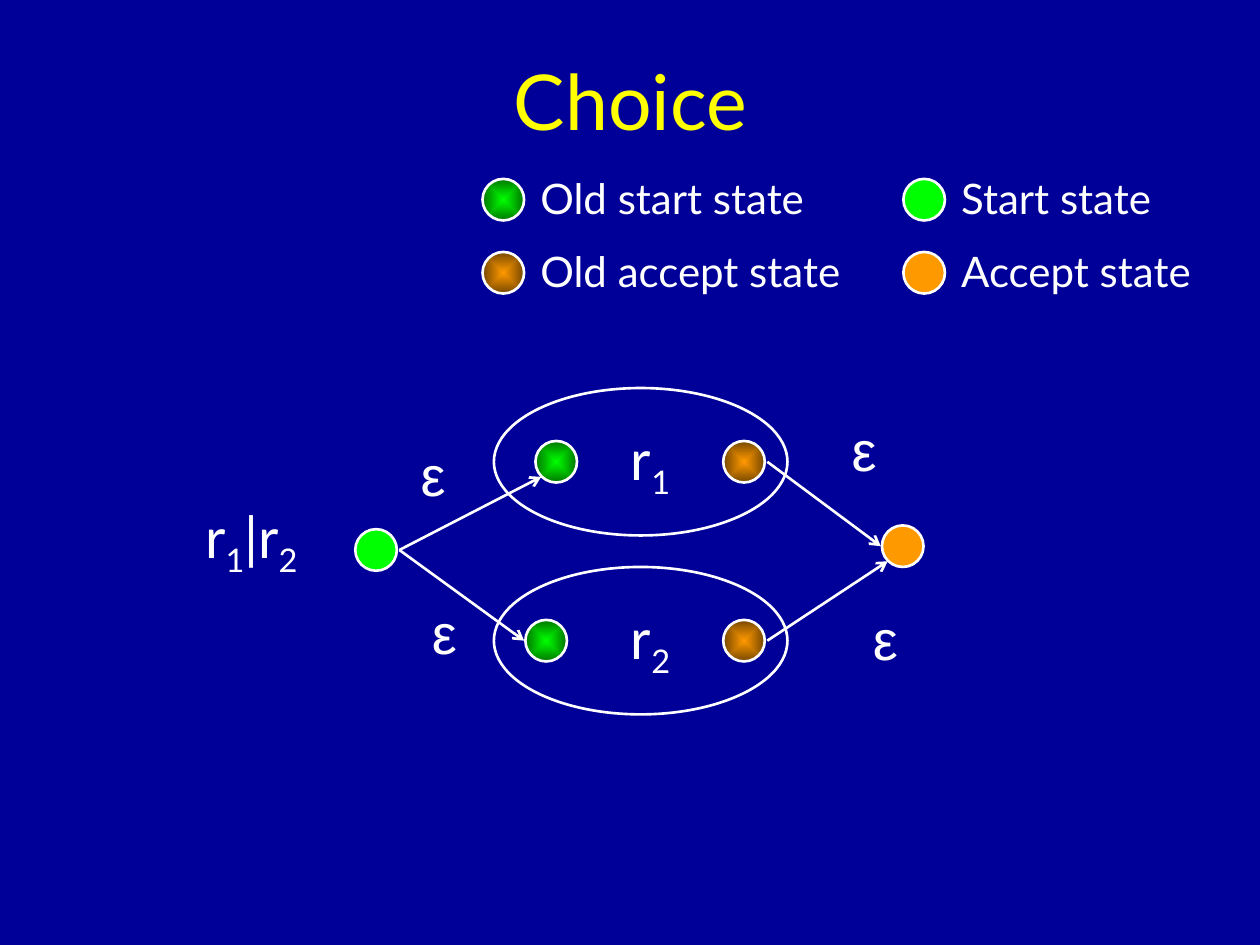
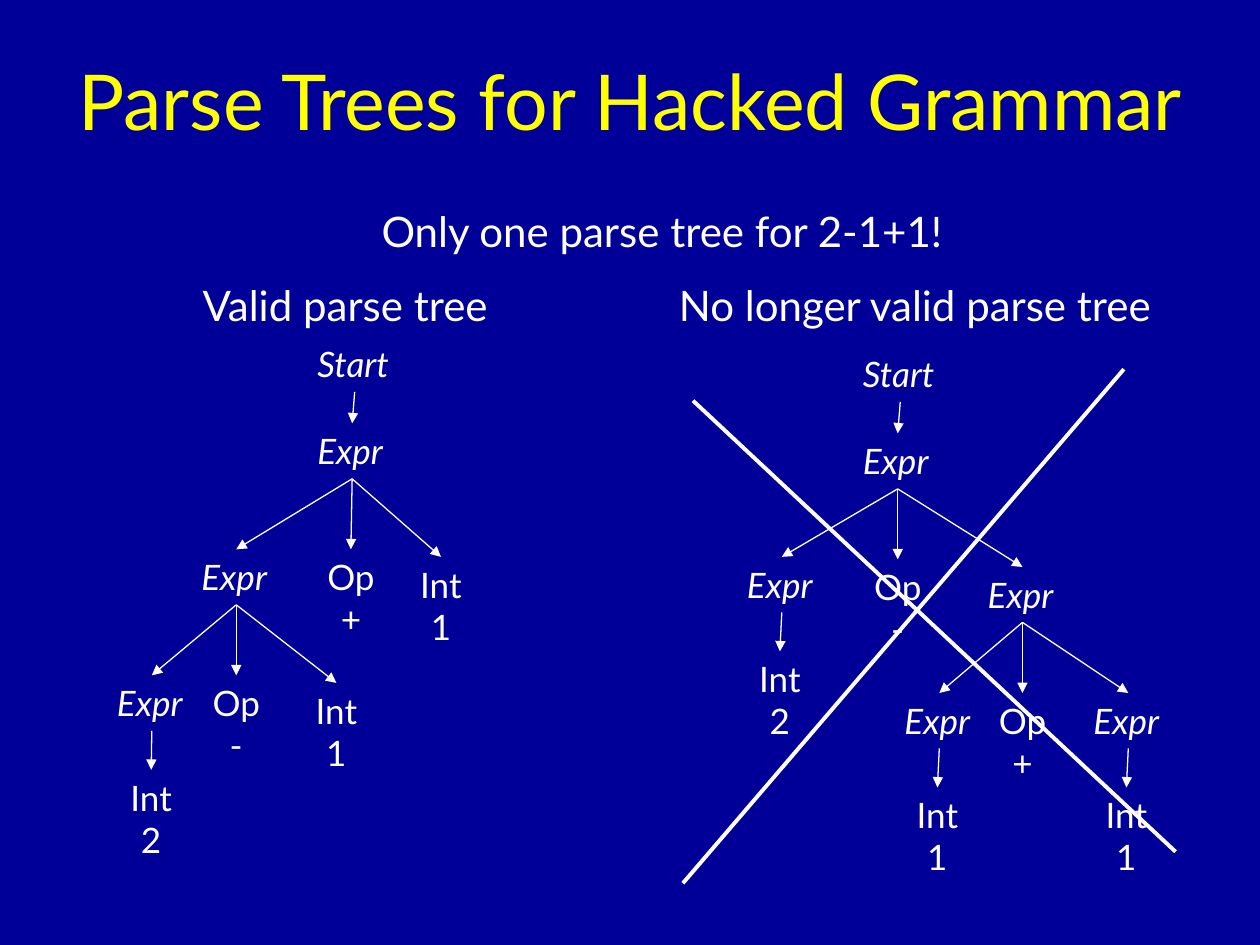
from lxml.etree import SubElement as Sub
from pptx import Presentation
from pptx.dml.color import RGBColor
from pptx.enum.shapes import MSO_CONNECTOR as Link, MSO_SHAPE as Shape
from pptx.enum.text import MSO_ANCHOR as Anchor, MSO_AUTO_SIZE as Auto, PP_ALIGN as Align
from pptx.oxml.ns import qn
from pptx.util import Inches, Pt

NAVY = RGBColor(0x00, 0x00, 0x99)
YELLOW = RGBColor(0xFF, 0xFF, 0x00)
WHITE = RGBColor(0xFF, 0xFF, 0xFF)
GREEN = RGBColor(0x00, 0xFF, 0x00)
MOSS = RGBColor(0x00, 0x76, 0x00)
ORANGE = RGBColor(0xFF, 0x99, 0x00)
BROWN = RGBColor(0x76, 0x47, 0x00)
FONT, GREEK = "Lato", "Arial"

# Choice: state kinds as (centre colour, edge colour or None)
KINDS = {
    "start": (GREEN, None), "accept": (ORANGE, None),
    "old start": (GREEN, MOSS), "old accept": (ORANGE, BROWN),
}
DOT = 0.33
STATES = {  # name: (kind, left, top)
    "in": ("start", 2.82, 4.2), "out": ("accept", 7, 4.17),
    "in1": ("old start", 4.25, 3.5), "out1": ("old accept", 5.74, 3.5),
    "in2": ("old start", 4.17, 4.92), "out2": ("old accept", 5.74, 4.92),
}
MOVES = [  # from the right of one state to a spot on the next
    ("in", "in1", "corner"), ("in", "in2", "side"),
    ("out1", "out", "side"), ("out2", "out", "corner"),
]
RINGS = [("r_1", 3.08), ("r_2", 4.5)]
EPS = [(6.83, 4.75), (6.66, 3.25), (3.24, 3.45), (3.33, 4.7)]
KEY = [  # kind, label, left, top, width of label
    ("old start", "Old start state", 3.83, 1.42, 2.42),
    ("old accept", "Old accept state", 3.83, 2, 2.72),
    ("start", "Start state", 7.17, 1.42, 1.81),
    ("accept", "Accept state", 7.17, 2, 2.11),
]

# Parse trees: (text, left, top, index of parent)
SIZES = {"Start": (0.79, 0.44), "Expr": (0.75, 0.44),
         "Op": (0.59, 0.77), "Int": (0.56, 0.77)}
VALID = [
    ("Start", 2.42, 2.67, None), ("Expr", 2.42, 3.36, 0),
    ("Expr", 1.5, 4.36, 1), ("Op\n+", 2.49, 4.36, 1), ("Int\n1", 3.22, 4.42, 1),
    ("Expr", 0.83, 5.36, 2), ("Op\n-", 1.58, 5.36, 2), ("Int\n1", 2.39, 5.42, 2),
    ("Int\n2", 0.92, 6.11, 5),
]
STALE = [
    ("Start", 6.75, 2.75, None), ("Expr", 6.75, 3.44, 0),
    ("Expr", 5.83, 4.42, 1), ("Op\n-", 6.83, 4.44, 1), ("Expr", 7.74, 4.5, 1),
    ("Int\n2", 5.91, 5.17, 2),
    ("Expr", 7.08, 5.5, 4), ("Op\n+", 7.82, 5.5, 4), ("Expr", 8.58, 5.5, 4),
    ("Int\n1", 7.16, 6.25, 6), ("Int\n1", 8.66, 6.25, 8),
]
HEADS = [  # text, left, top, width
    ("Only one parse tree for 2-1+1!", 2.93, 1.58, 4.87),
    ("Valid parse tree", 1.51, 2.17, 2.65),
    ("No longer valid parse tree", 5.29, 2.17, 4.27),
]
CROSS = [((8.92, 2.93), (5.42, 7.01)), ((5.5, 3.18), (9.33, 6.76))]


def style(font, size, color=WHITE, name=FONT, slant=False):
    font.size, font.name, font.italic = Pt(size), name, slant
    font.color.rgb = color


def add_page(deck, title):
    page = deck.slides.add_slide(deck.slide_layouts[5])
    head = page.shapes.title
    head.left, head.top = Inches(0.42), Inches(0.17)
    head.width, head.height = Inches(9.17), Inches(1.25)
    frame = head.text_frame
    frame.text = title
    frame.auto_size, frame.vertical_anchor = Auto.NONE, Anchor.MIDDLE
    frame.paragraphs[0].alignment = Align.CENTER
    style(frame.paragraphs[0].runs[0].font, 44, YELLOW)
    return page


def add_text(page, text, x, y, w, h, size, align=Align.LEFT, **look):
    box = page.shapes.add_textbox(*map(Inches, (x, y, w, h)))
    frame = box.text_frame
    frame.text = text
    frame.word_wrap, frame.auto_size = False, Auto.SHAPE_TO_FIT_TEXT
    for para in frame.paragraphs:
        para.alignment = align
        style(para.runs[0].font, size, **look)
    return box


def add_math(page, text, x, y, w):
    """Write text in which each "_" lowers the next character."""
    first, *rest = text.split("_")
    box = add_text(page, first, x, y, w, 0.71, 32)
    for part in rest:
        for piece, low in ((part[0], True), (part[1:], False)):
            if piece:
                run = box.text_frame.paragraphs[0].add_run()
                run.text = piece
                style(run.font, 32)
                if low:
                    run.font._element.set("baseline", "-25000")


def add_oval(page, x, y, w, h):
    oval = page.shapes.add_shape(Shape.OVAL, *map(Inches, (x, y, w, h)))
    oval.shadow.inherit = False
    oval.fill.background()
    oval.line.color.rgb, oval.line.width = WHITE, Pt(1.5)
    return oval


def add_state(page, kind, x, y):
    dot = add_oval(page, x, y, DOT, DOT)
    core, edge = KINDS[kind]
    if edge is None:
        dot.fill.solid()
        dot.fill.fore_color.rgb = core
        return
    dot.fill.gradient()
    for stop, color in zip(dot.fill.gradient_stops, (core, edge)):
        stop.color.rgb = color
    # Let the gradient spread from the middle
    grad = dot._element.spPr.find(qn("a:gradFill"))
    grad.remove(grad.find(qn("a:lin")))
    shade = Sub(grad, qn("a:path"), {"path": "rect"})
    Sub(shade, qn("a:fillToRect"), dict.fromkeys("ltrb", "50000"))


def add_line(page, start, end, width, tip=None):
    line = page.shapes.add_connector(Link.STRAIGHT, *map(Inches, (*start, *end)))
    line.line.color.rgb, line.line.width = WHITE, Pt(width)
    if tip:
        Sub(line.line._get_or_add_ln(), qn("a:tailEnd"), {"type": tip})
    Sub(line._element.spPr, qn("a:effectLst"))
    return line


def add_tree(page, nodes):
    boxes = []
    for text, x, y, _ in nodes:
        word = text.split("\n")[0]
        rule = word in ("Start", "Expr")
        boxes.append(add_text(page, text, x, y, *SIZES[word], 20,
                              Align.LEFT if rule else Align.CENTER, slant=rule))
    for box, (*_, up) in zip(boxes, nodes):
        if up is not None:
            line = add_line(page, (0, 0), (1, 1), 0.75, "triangle")
            line.begin_connect(boxes[up], 2)
            line.end_connect(box, 0)


def draw_choice(deck):
    page = add_page(deck, "Choice")
    # Automaton
    for state in STATES.values():
        add_state(page, *state)
    for name, top in RINGS:
        add_math(page, name, 4.91, top + 0.24, 0.53)
        add_oval(page, 3.92, top, 2.33, 1.17)
    add_math(page, "r_1|r_2", 1.53, 3.94, 1.1)
    half = DOT / 2
    for source, goal, spot in MOVES:
        (_, x, y), (_, gx, gy) = STATES[source], STATES[goal]
        if spot == "side":
            end = gx - 0.01, gy + half
        else:
            end = gx + half - 0.12, gy + half + 0.12
        add_line(page, (x + DOT + 0.02, y + half), end, 1.5, "arrow")
    for x, y in EPS:
        add_text(page, "ε", x, y, 0.39, 0.64, 32, name=GREEK)
    # Key
    for kind, label, x, y, w in KEY:
        add_state(page, kind, x, y)
        add_text(page, label, x + 0.36, y - 0.1, w, 0.5, 24)


def draw_trees(deck):
    page = add_page(deck, "Parse Trees for Hacked Grammar")
    for tree in (VALID, STALE):
        add_tree(page, tree)
    for text, x, y, w in HEADS:
        add_text(page, text, x, y, w, 0.5, 24)
    # Strike out the stale tree
    for start, end in CROSS:
        add_line(page, start, end, 2.25)


def main():
    deck = Presentation()
    deck.slide_width, deck.slide_height = Inches(10), Inches(7.5)
    back = deck.slide_master.background.fill
    back.solid()
    back.fore_color.rgb = NAVY
    draw_choice(deck)
    draw_trees(deck)
    deck.save("out.pptx")


if __name__ == "__main__":
    main()
